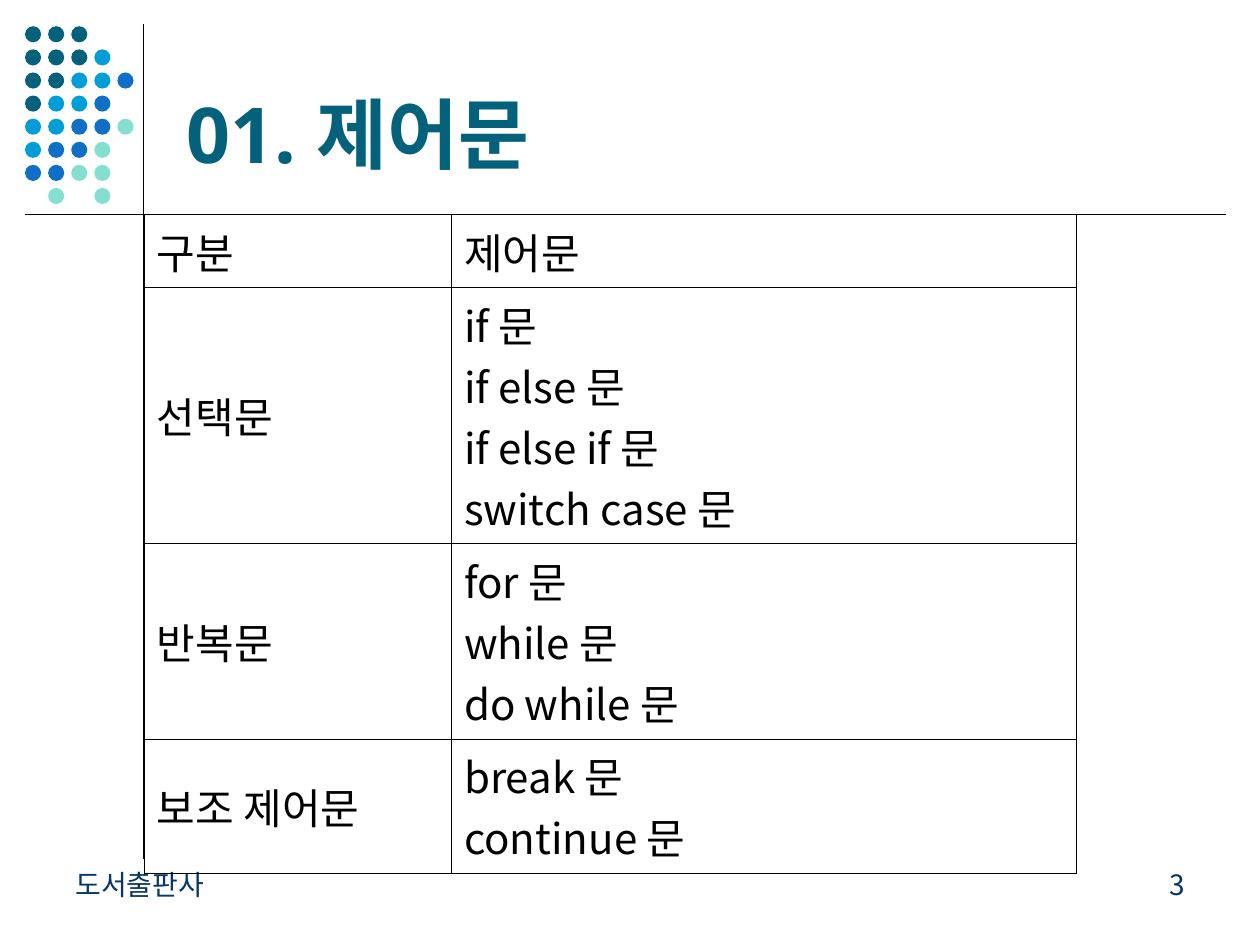
from lxml.etree import SubElement as Sub
from pptx import Presentation
from pptx.dml.color import RGBColor as RGB
from pptx.enum.shapes import MSO_CONNECTOR as CONN, MSO_SHAPE as SHAPE
from pptx.enum.text import MSO_ANCHOR as ANCHOR, MSO_AUTO_SIZE as AUTO, PP_ALIGN as ALIGN
from pptx.oxml.ns import qn
from pptx.util import Pt

HUES = {"teal": "04617B", "sky": "009DD9", "blue": "0F6FC6", "mint": "85DFD0",
        "navy": "083763", "black": "000000"}
DOTS = ["ttt", "ttts", "ttssb", "tssb", "ssbbm", "sbbm", "bbmm", " m m"]
KEYS = {name[0]: name for name in ("teal", "sky", "blue", "mint")}
CJK = "Noto Sans CJK KR"
FONTS = {
    "title": {"name": "Noto Sans", "size": Pt(44), "bold": True, "hue": "teal"},
    "foot": {"name": CJK, "size": Pt(16), "hue": "navy"},
    "cell": {"name": CJK, "size": Pt(24), "hue": "black"},
}
ROWS = [
    ("구분", "제어문"),
    ("선택문", "if 문\nif else 문\nif else if 문\nswitch case 문"),
    ("반복문", "for 문\nwhile 문\ndo while 문"),
    ("보조 제어문", "break 문\ncontinue 문"),
]


class Page:
    """Holds the style and the current slide, and draws each kind of element."""

    def __init__(self, deck):
        self.slide = deck.slides.add_slide(deck.slide_layouts[5])
        self.shapes = self.slide.shapes

    def hue(self, name):
        return RGB.from_string(HUES[name])

    def put(self, frame, text, style, align):
        frame.text = text
        frame.word_wrap = True
        for para in frame.paragraphs:
            para.alignment = align
            for run in para.runs:
                for key, value in FONTS[style].items():
                    if key == "hue":
                        run.font.color.rgb = self.hue(value)
                    else:
                        setattr(run.font, key, value)
                latin = run._r.rPr.find(qn("a:latin"))
                latin.addnext(latin.makeelement(qn("a:ea"), {"typeface": CJK}))

    def title(self, text, box):
        shape = self.shapes.title
        for key, value in zip(("left", "top", "width", "height"), box):
            setattr(shape, key, Pt(value))
        frame = shape.text_frame
        self.put(frame, text, "title", ALIGN.LEFT)
        frame.auto_size = AUTO.NONE
        frame.vertical_anchor = ANCHOR.BOTTOM

    def label(self, text, box, align):
        shape = self.shapes.add_textbox(*map(Pt, box))
        self.put(shape.text_frame, text, "foot", align)

    def line(self, *ends):
        rule = self.shapes.add_connector(CONN.STRAIGHT, *map(Pt, ends))
        rule.line.width = Pt(0.75)
        rule.line.color.rgb = self.hue("black")
        Sub(rule._element.spPr, qn("a:effectLst"))

    def dots(self, left, top, step, size):
        group = self.shapes.add_group_shape()
        for row, marks in enumerate(DOTS):
            for col, mark in enumerate(marks):
                if mark in KEYS:
                    spot = (left + col * step, top + row * step, size, size)
                    dot = group.shapes.add_shape(SHAPE.OVAL, *map(Pt, spot))
                    dot.shadow.inherit = False
                    dot.fill.solid()
                    dot.fill.fore_color.rgb = self.hue(KEYS[mark])
                    dot.line.fill.background()

    def edge(self, cell):
        props = cell._tc.get_or_add_tcPr()
        for side in ("lnL", "lnR", "lnT", "lnB"):
            line = Sub(props, qn("a:" + side), w=str(int(Pt(0.06))))
            fill = Sub(line, qn("a:solidFill"))
            Sub(fill, qn("a:srgbClr"), val=HUES["black"])

    def table(self, left, top, widths, heights):
        box = (left, top, sum(widths), sum(heights))
        grid = self.shapes.add_table(len(ROWS), len(widths), *map(Pt, box)).table
        for key in ("first_row", "horz_banding"):
            setattr(grid, key, False)
        for col, width in zip(grid.columns, widths):
            col.width = Pt(width)
        for row, height, texts in zip(grid.rows, heights, ROWS):
            row.height = Pt(height)
            for cell, text in zip(row.cells, texts):
                self.put(cell.text_frame, text, "cell", ALIGN.JUSTIFY)
                cell.vertical_anchor = ANCHOR.MIDDLE
                self.edge(cell)
                cell.fill.background()


def main():
    deck = Presentation()
    deck.slide_width, deck.slide_height = Pt(720), Pt(540)
    page = Page(deck)
    page.line(82.2, 13.7, 82.2, 491)
    page.dots(14.3, 15, 13.2, 9.2)
    page.line(14.4, 122.4, 700.5, 122.4)
    page.title("01. 제어문", (99.4, 15, 594, 90.8))
    page.label("도서출판사", (36, 492, 168, 36), ALIGN.LEFT)
    page.label("3", (516, 492, 168, 36), ALIGN.RIGHT)
    page.table(82.4, 122.4, (175.6, 357.2), (41.9, 146.3, 111.7, 76.8))
    deck.save("out.pptx")


if __name__ == "__main__":
    main()
